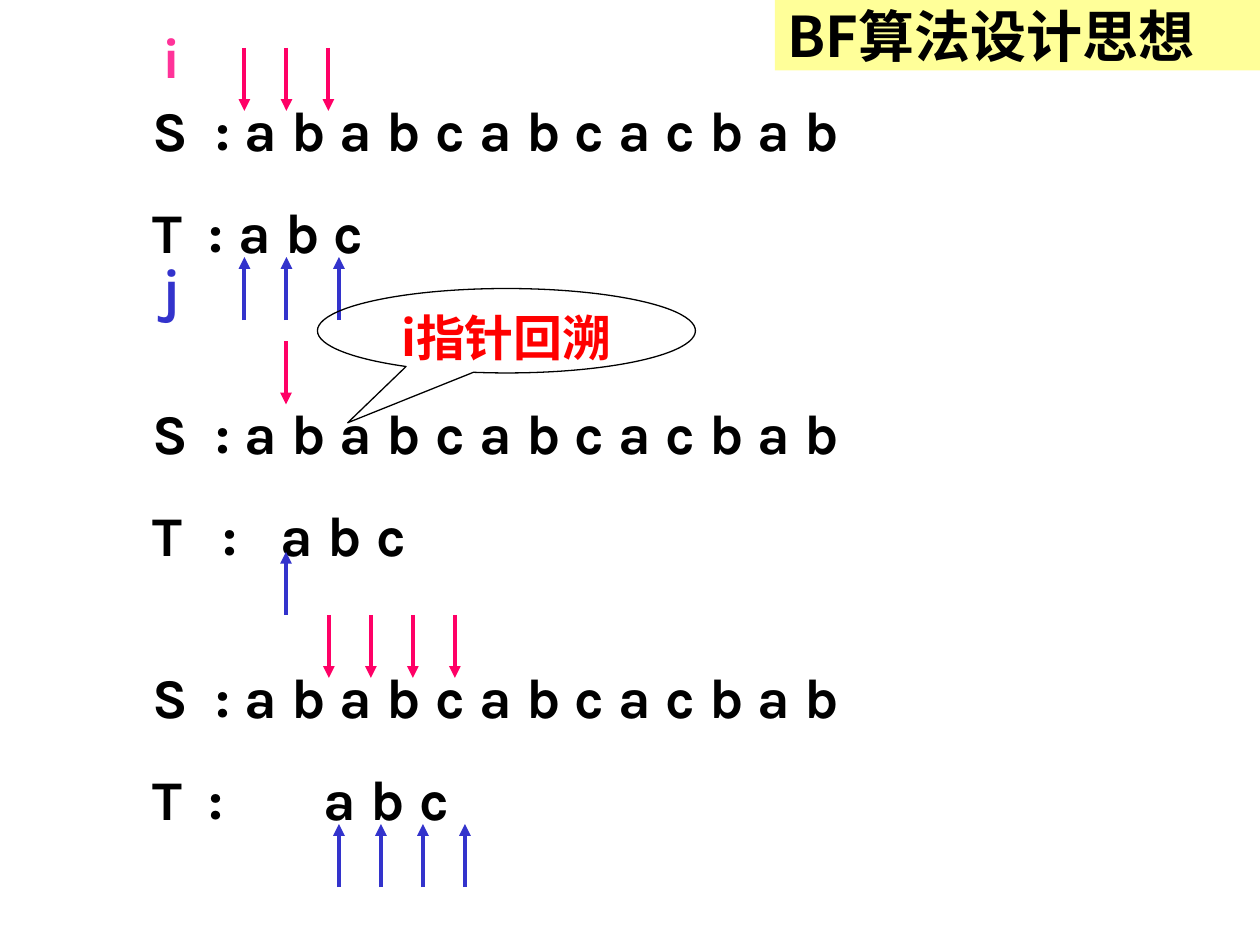
"""Build the slide that traces the BF string matching algorithm."""
from lxml.etree import SubElement
from pptx import Presentation
from pptx.dml.color import RGBColor
from pptx.enum.shapes import MSO_CONNECTOR as Connector, MSO_SHAPE as Shape
from pptx.enum.text import MSO_ANCHOR as Anchor, MSO_AUTO_SIZE as AutoSize, PP_ALIGN as Align
from pptx.oxml.ns import qn
from pptx.util import Inches, Pt

BLACK, RED, YELLOW = "000000", "FF0000", "FFFF99"
PINK, ROSE, BLUE = "FF3399", "FF0066", "3333CC"
STEP, ARROW_LENGTH = 1 / 3, 0.5


def color(value):
    return RGBColor.from_string(value)


class TraceSlide:
    latin, chinese = "Karla", "Noto Sans CJK SC"

    def __init__(self, deck):
        self.page = deck.slides.add_slide(deck.slide_layouts[5])

    def span(self, para, text, ink, font, size=32):
        span = para.add_run()
        span.text = text
        span.font.name, span.font.size, span.font.bold = font, Pt(size), True
        span.font.color.rgb = color(ink)
        SubElement(span.font._element, qn("a:ea"), typeface=self.chinese)

    def tabs(self, para, stops):
        tab_list = SubElement(para._p.get_or_add_pPr(), qn("a:tabLst"))
        for stop in stops:
            SubElement(tab_list, qn("a:tab"), pos=str(Inches(stop)), algn="l")

    def title(self, text, left, top, width, height):
        box = self.page.shapes.title
        box.left, box.top, box.width, box.height = map(Inches, (left, top, width, height))
        box.fill.solid()
        box.fill.fore_color.rgb = color(YELLOW)
        frame = box.text_frame
        frame.auto_size, frame.vertical_anchor = AutoSize.NONE, Anchor.MIDDLE
        para = frame.paragraphs[0]
        para.alignment = Align.LEFT
        self.span(para, text, BLACK, self.chinese)

    def text(self, lines, left, top, width, height, ink=BLACK):
        box = self.page.shapes.add_textbox(*map(Inches, (left, top, width, height)))
        frame = box.text_frame
        frame.word_wrap = True
        for index, (line, stops) in enumerate(lines):
            para = frame.add_paragraph() if index else frame.paragraphs[0]
            if index:
                para.space_before = Pt(20)
            if stops:
                self.tabs(para, stops)
            self.span(para, line, ink, self.latin)

    def arrow(self, x, start, end, ink):
        line = self.page.shapes.add_connector(
            Connector.STRAIGHT, *map(Inches, (x, start, x, end)))
        line.line.color.rgb = color(ink)
        line.line.width = Pt(2.25)
        SubElement(line.line._get_or_add_ln(), qn("a:tailEnd"), type="triangle")
        SubElement(line._element.spPr, qn("a:effectLst"))

    def down_arrows(self, columns, top):
        for x in columns:
            self.arrow(x, top, top + ARROW_LENGTH, ROSE)

    def up_arrows(self, columns, top):
        for x in columns:
            self.arrow(x, top + ARROW_LENGTH, top, BLUE)

    def callout(self, text, left, top, width, height, pointer):
        bubble = self.page.shapes.add_shape(
            Shape.OVAL_CALLOUT, *map(Inches, (left, top, width, height)))
        bubble.adjustments[0], bubble.adjustments[1] = pointer
        bubble.shadow.inherit = False
        bubble.fill.background()
        bubble.line.color.rgb = color(BLACK)
        bubble.line.width = Pt(0.75)
        frame = bubble.text_frame
        frame.word_wrap, frame.vertical_anchor = True, Anchor.TOP
        para = frame.paragraphs[0]
        para.alignment = Align.CENTER
        self.span(para, text, RED, self.chinese, 28)


def columns(first, count):
    return [first + STEP * index for index in range(count)]


def main():
    deck = Presentation()
    deck.slide_width, deck.slide_height = Inches(10), Inches(7.5)
    trace = TraceSlide(deck)
    trace.title("BF算法设计思想", 6.15, 0, 3.85, 0.56)

    source = ("S\t: a b a b c a b c a c b a b", [0.5])
    rounds = [
        (0.71, 7.92, ("T\t: a b c", [0.45])),
        (3.11, 8.42, ("T\t:\ta b c", [0.56, 1.02])),
        (5.21, 5.75, ("T\t:\ta b c", [0.45, 1.36])),
    ]
    for top, width, pattern in rounds:
        trace.text([source, pattern], 1.11, top, width, 1.45)
    trace.text([("i", [])], 1.19, 0.13, 0.92, 0.64, PINK)
    trace.text([("j", [])], 1.19, 1.96, 0.5, 0.64, BLUE)

    for first, count, top in [(1.94, 3, 0.38), (2.27, 1, 2.71), (2.61, 4, 4.88)]:
        trace.down_arrows(columns(first, count), top)
    for first, count, top in [(1.94, 2, 2.04), (2.69, 1, 2.04), (2.27, 1, 4.38), (2.69, 4, 6.54)]:
        trace.up_arrows(columns(first, count), top)
    trace.callout("i指针回溯", 2.52, 2.29, 3, 0.67, (-0.42, 1.09))
    deck.save("out.pptx")


if __name__ == "__main__":
    main()
